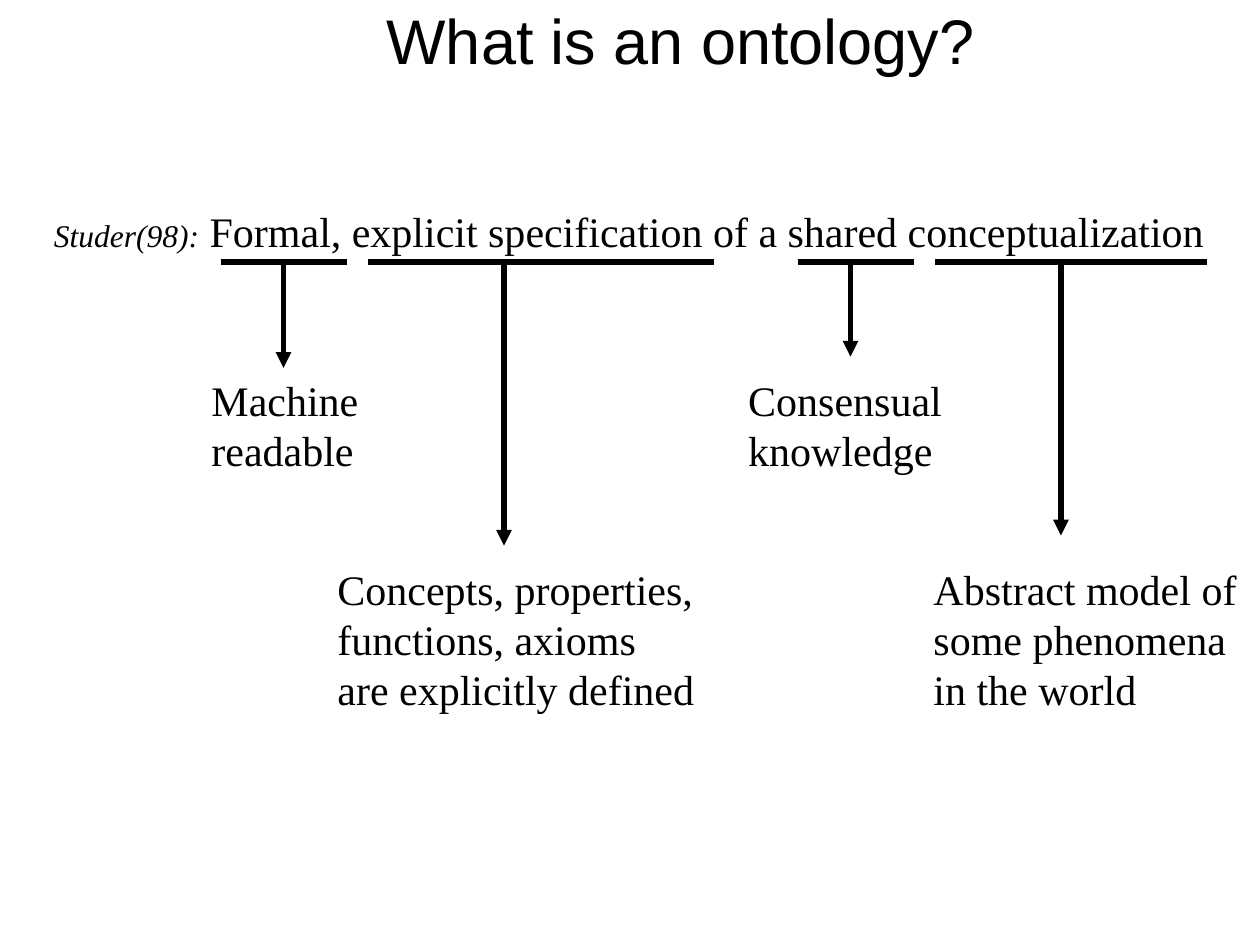
from lxml.etree import SubElement
from pptx import Presentation
from pptx.dml.color import RGBColor
from pptx.enum.shapes import MSO_CONNECTOR
from pptx.enum.text import MSO_AUTO_SIZE
from pptx.oxml.ns import qn
from pptx.util import Inches, Pt

BLACK = RGBColor(0, 0, 0)
SERIF = "Times New Roman"
UNDERLINE_Y = 2.08


def add_text(shapes, left, top, width, height, lines, size, font=SERIF):
    frame = shapes.add_textbox(Inches(left), Inches(top), Inches(width), Inches(height)).text_frame
    frame.word_wrap = False
    frame.auto_size = MSO_AUTO_SIZE.SHAPE_TO_FIT_TEXT
    frame.text = "\n".join(lines)
    for paragraph in frame.paragraphs:
        paragraph.font.name = font
        paragraph.font.size = Pt(size)
        paragraph.font.color.rgb = BLACK
    return frame


def add_line(shapes, x1, y1, x2, y2, arrow=False):
    line = shapes.add_connector(MSO_CONNECTOR.STRAIGHT, Inches(x1), Inches(y1), Inches(x2), Inches(y2))
    line.line.color.rgb = BLACK
    line.line.width = Pt(3)
    if arrow:
        SubElement(line.line._get_or_add_ln(), qn("a:tailEnd"), type="triangle")
    SubElement(line._element.spPr, qn("a:effectLst"))


prs = Presentation()
prs.slide_width = Inches(10)
prs.slide_height = Inches(7.5)
slide = prs.slides.add_slide(prs.slide_layouts[6])

definition = add_text(slide.shapes, 0.33, 1.58, 9.41, 0.5, [""], 24).paragraphs[0]
author = definition.add_run()
author.text = "Studer(98):"
author.font.size = Pt(18)
author.font.italic = True
definition.add_run().text = " Formal, explicit specification of a shared conceptualization"

terms = [
    (1.75, 2.75, 2.25, 2.92, (1.58, 2.92, 1.45, 0.9), ["Machine", "readable"]),
    (2.92, 5.67, 4, 4.33, (2.58, 4.42, 3.03, 1.3),
     ["Concepts, properties,", "functions, axioms", "are explicitly defined"]),
    (6.33, 7.25, 6.75, 2.83, (5.84, 2.92, 1.77, 0.9), ["Consensual", "knowledge"]),
    (7.42, 9.58, 8.42, 4.25, (7.31, 4.42, 2.69, 1.3),
     ["Abstract model of", "some phenomena", "in the world"]),
]
for start, end, arrow_x, arrow_end, box, meaning in terms:
    term = slide.shapes.add_group_shape().shapes
    add_line(term, start, UNDERLINE_Y, end, UNDERLINE_Y)
    add_line(term, arrow_x, UNDERLINE_Y, arrow_x, arrow_end, arrow=True)
    add_text(term, *box, meaning, 24)

add_text(slide.shapes, 2.97, -0.04, 4.87, 0.7, ["What is an ontology?"], 36, "Arial")

prs.save("out.pptx")
